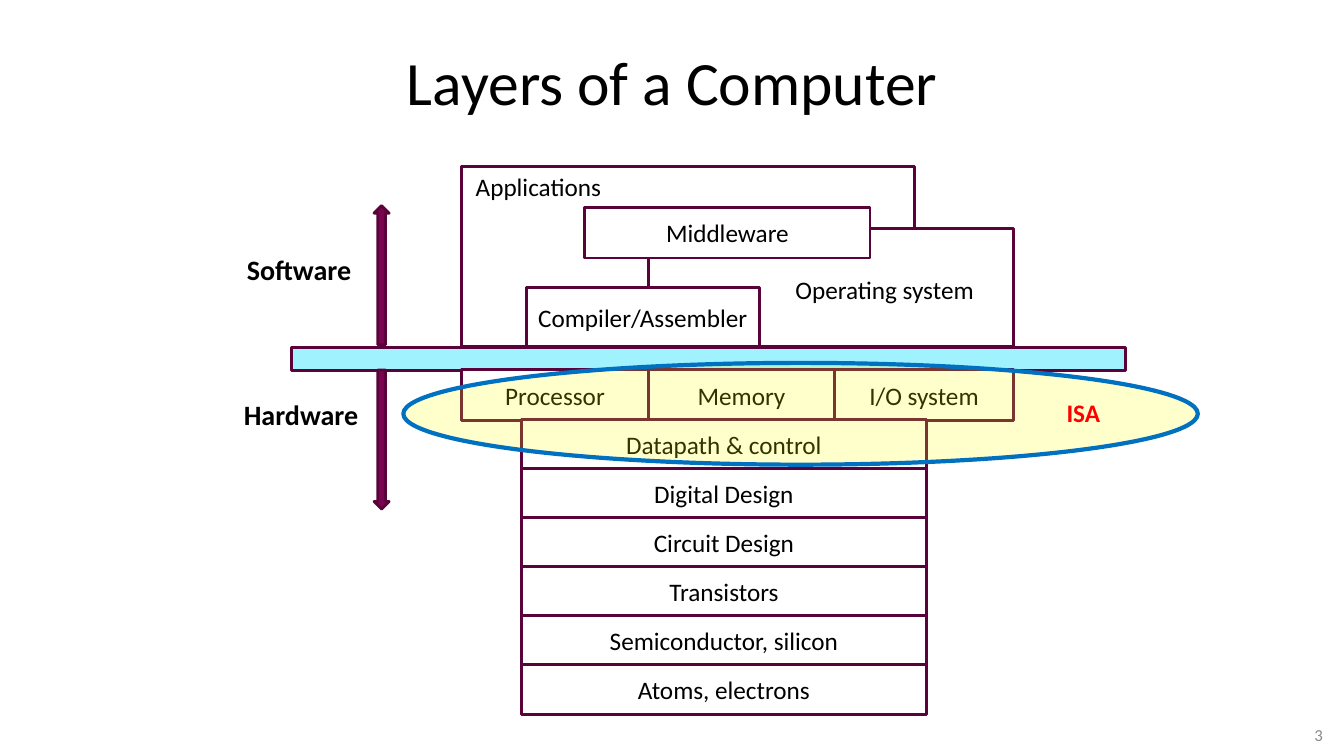
"""Build the slide that shows the layers of a computer."""
from lxml import etree
from pptx import Presentation
from pptx import util as u
from pptx.dml.color import RGBColor
from pptx.enum import shapes, text
from pptx.oxml import ns

FONT = "Calibri"
COLORS = {
    "black": "000000",
    "white": "FFFFFF",
    "gray": "898989",
    "plum": "5A033B",
    "arrow": "7A0450",
    "cyan": "A0F3FE",
    "yellow": "FFFF00",
    "blue": "0070C0",
    "red": "FF0000",
}
SHAPE = shapes.MSO_SHAPE
ALIGN = text.PP_ALIGN
ANCHOR = text.MSO_ANCHOR


def rgb(name):
    return RGBColor.from_string(COLORS[name])


def place(sp, box):
    sp.left, sp.top, sp.width, sp.height = [u.Inches(v) for v in box]


def write(sp, words, size=18, color="black", bold=False, align=ALIGN.CENTER,
          anchor=ANCHOR.MIDDLE, wrap=True):
    tf = sp.text_frame
    tf.word_wrap = wrap
    tf.vertical_anchor = anchor
    tf.text = words
    p = tf.paragraphs[0]
    p.alignment = align
    p.font.name = FONT
    p.font.size = u.Pt(size)
    p.font.bold = bold
    p.font.color.rgb = rgb(color)


def add_shape(parent, kind, box, fill="white", line="plum", width=2, words=""):
    sp = parent.shapes.add_shape(kind, *[u.Inches(v) for v in box])
    sp.shadow.inherit = False
    sp.fill.solid()
    sp.fill.fore_color.rgb = rgb(fill)
    sp.line.color.rgb = rgb(line)
    sp.line.width = u.Pt(width)
    if words:
        write(sp, words)
    return sp


def add_label(parent, words, box, **style):
    sp = parent.shapes.add_textbox(*[u.Inches(v) for v in box])
    write(sp, words, **{"align": ALIGN.LEFT, "anchor": ANCHOR.TOP,
                        "wrap": False, **style})


def set_opacity(sp, percent):
    color = sp.fill._xPr.find(".//" + ns.qn("a:srgbClr"))
    etree.SubElement(color, ns.qn("a:alpha"), val=str(percent * 1000))


def add_software(s):
    add_shape(s, SHAPE.RECTANGLE, (4.58, 1.65, 4.49, 1.79))
    add_shape(s, SHAPE.RECTANGLE, (6.43, 2.27, 3.62, 1.17))
    add_label(s, "Operating system", (7.79, 2.67, 1.99, 0.38))
    add_label(s, "Applications", (4.62, 1.65, 1.46, 0.38))
    add_shape(s, SHAPE.RECTANGLE, (5.8, 2.06, 2.83, 0.5), words="Middleware")
    sp = add_shape(s, SHAPE.RECTANGLE, (5.22, 2.85, 2.31, 0.59),
                   words="Compiler/Assembler")
    sp.text_frame.margin_left = sp.text_frame.margin_right = u.Inches(0.05)


def add_hardware(s):
    left = 4.58
    for words, width in (("Processor", 1.85), ("Memory", 1.85),
                         ("I/O system", 1.77)):
        add_shape(s, SHAPE.RECTANGLE, (left, 3.67, width, 0.5), words=words)
        left += width
    layers = ["Datapath & control", "Digital Design", "Circuit Design",
              "Transistors", "Semiconductor, silicon", "Atoms, electrons"]
    first, last = 4.16, 6.59
    pitch = (last - first) / (len(layers) - 1)
    for i, words in enumerate(layers):
        add_shape(s, SHAPE.RECTANGLE, (5.17, first + i * pitch, 4.02, 0.5),
                  words=words)


def add_sides(s):
    for words, box, kind, arrow_top in (
            ("Software", (2.35, 2.46, 1.25, 0.41), SHAPE.UP_ARROW, 2.04),
            ("Hardware", (2.32, 3.89, 1.4, 0.41), SHAPE.DOWN_ARROW, 3.67)):
        add_shape(s, kind, (3.71, arrow_top, 0.15, 1.38), fill="arrow")
        add_label(s, words, box, size=20, bold=True)


def add_isa(s):
    group = s.shapes.add_group_shape()
    sp = add_shape(group, SHAPE.OVAL, (4, 3.6, 7.88, 1.01), fill="yellow",
                   line="blue", width=3)
    set_opacity(sp, 20)
    add_label(group, "ISA", (10.48, 3.89, 0.54, 0.4), color="red", bold=True)


def main():
    prs = Presentation()
    prs.slide_width, prs.slide_height = u.Inches(13.33), u.Inches(7.5)
    s = prs.slides.add_slide(prs.slide_layouts[5])
    place(s.shapes.title, (0.67, 0.3, 12, 1.01))
    write(s.shapes.title, "Layers of a Computer", size=44)
    add_software(s)
    add_shape(s, SHAPE.RECTANGLE, (2.89, 3.45, 8.27, 0.23), fill="cyan")
    add_hardware(s)
    add_sides(s)
    add_isa(s)
    add_label(s, "3", (11.79, 7.14, 1.43, 0.29), size=12, color="gray",
              align=ALIGN.RIGHT, anchor=ANCHOR.MIDDLE, wrap=True)
    prs.save("out.pptx")


if __name__ == "__main__":
    main()
